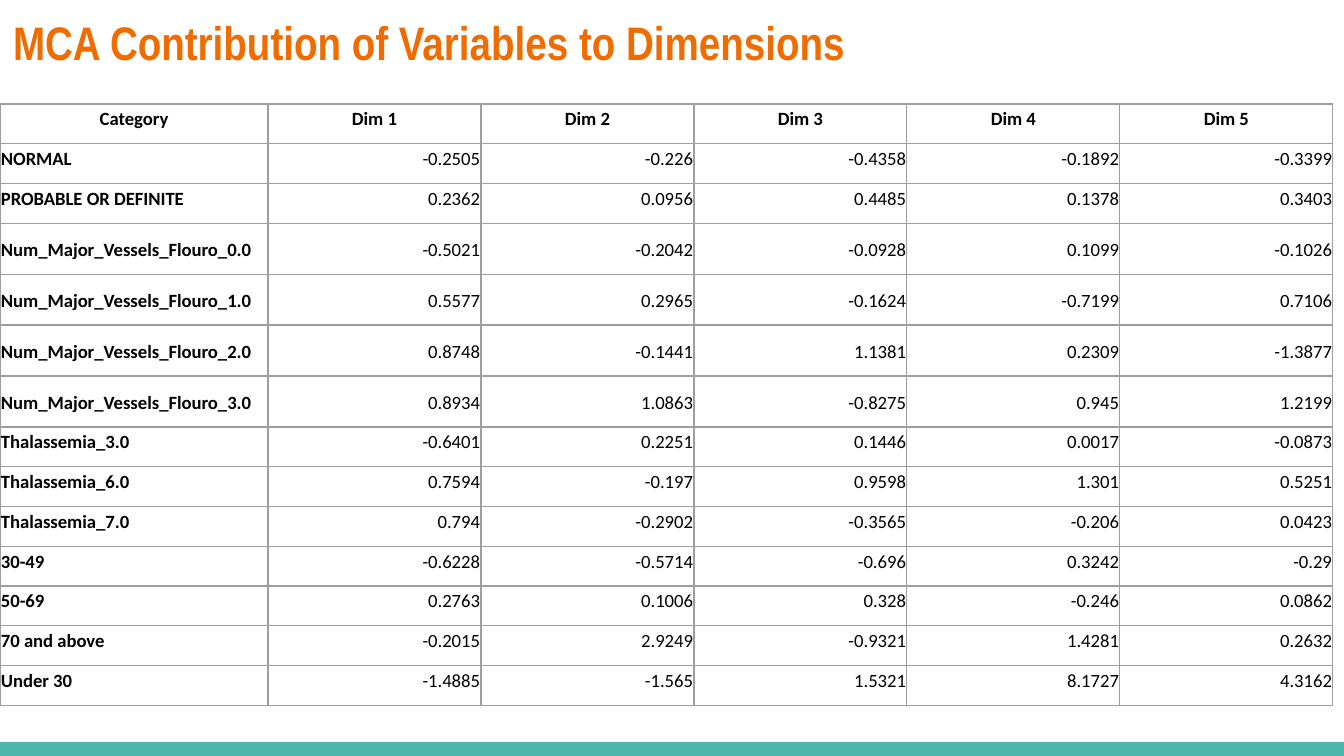
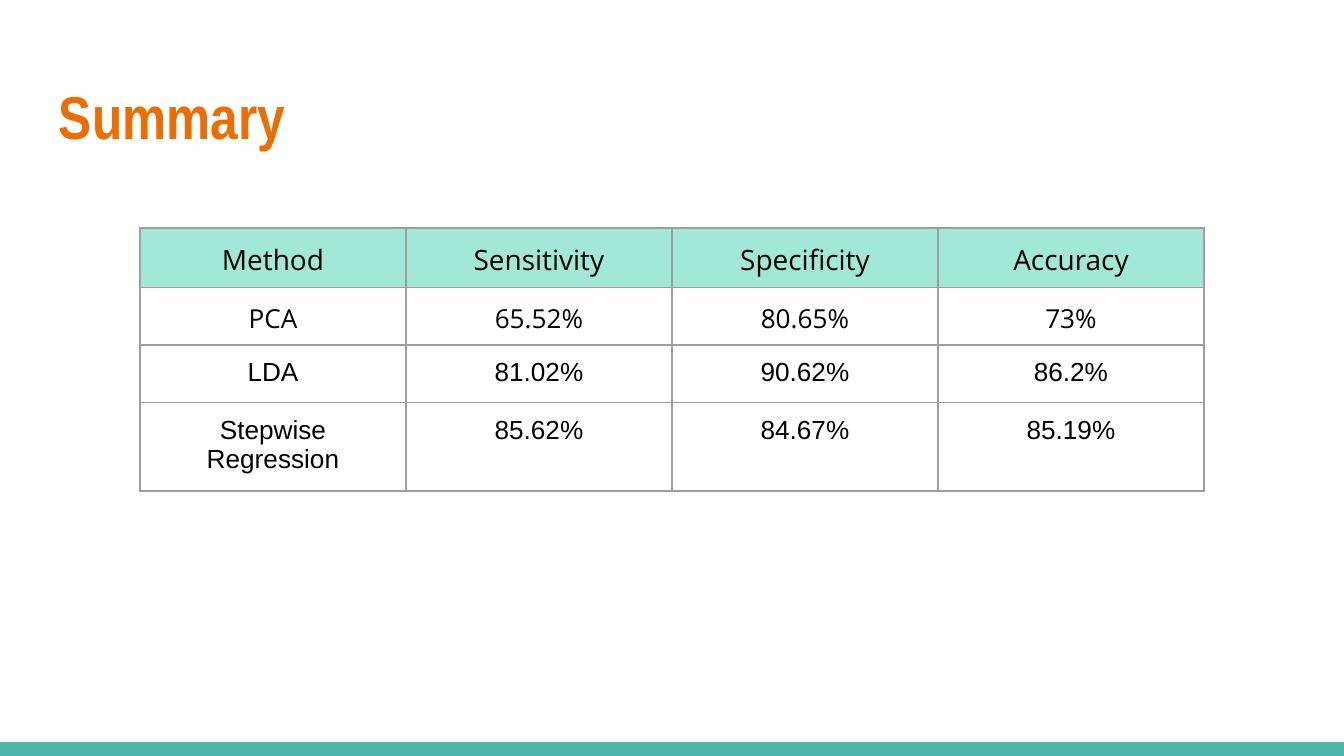
from lxml import etree
from pptx import Presentation
from pptx.dml.color import RGBColor
from pptx.enum.shapes import MSO_SHAPE
from pptx.enum.text import MSO_ANCHOR, PP_ALIGN
from pptx.oxml.ns import qn
from pptx.util import Emu, Pt

LEFT, CENTER, RIGHT = PP_ALIGN.LEFT, PP_ALIGN.CENTER, PP_ALIGN.RIGHT
TOP, BOTTOM = MSO_ANCHOR.TOP, MSO_ANCHOR.BOTTOM
RECTANGLE = MSO_SHAPE.RECTANGLE

ORANGE = RGBColor(0xEF, 0x6C, 0x00)
TEAL = RGBColor(0x4D, 0xB6, 0xAC)
MINT = RGBColor(0xA1, 0xE8, 0xD9)
GRAY = RGBColor(0x9E, 0x9E, 0x9E)
BLACK = RGBColor(0x00, 0x00, 0x00)

PX_PER_INCH = 134.4
SLIDE_W, SLIDE_H, BAND_H = 1344, 756, 14
TITLE_W, TITLE_H, TITLE_INSET = 1252, 103, 13
BORDER_PT = 0.75

CONTRIBUTIONS = [
    ("Category", "Dim 1", "Dim 2", "Dim 3", "Dim 4", "Dim 5"),
    ("NORMAL", "-0.2505", "-0.226", "-0.4358", "-0.1892", "-0.3399"),
    ("PROBABLE OR DEFINITE", "0.2362", "0.0956", "0.4485", "0.1378", "0.3403"),
    ("Num_Major_Vessels_Flouro_0.0", "-0.5021", "-0.2042", "-0.0928", "0.1099", "-0.1026"),
    ("Num_Major_Vessels_Flouro_1.0", "0.5577", "0.2965", "-0.1624", "-0.7199", "0.7106"),
    ("Num_Major_Vessels_Flouro_2.0", "0.8748", "-0.1441", "1.1381", "0.2309", "-1.3877"),
    ("Num_Major_Vessels_Flouro_3.0", "0.8934", "1.0863", "-0.8275", "0.945", "1.2199"),
    ("Thalassemia_3.0", "-0.6401", "0.2251", "0.1446", "0.0017", "-0.0873"),
    ("Thalassemia_6.0", "0.7594", "-0.197", "0.9598", "1.301", "0.5251"),
    ("Thalassemia_7.0", "0.794", "-0.2902", "-0.3565", "-0.206", "0.0423"),
    ("30-49", "-0.6228", "-0.5714", "-0.696", "0.3242", "-0.29"),
    ("50-69", "0.2763", "0.1006", "0.328", "-0.246", "0.0862"),
    ("70 and above", "-0.2015", "2.9249", "-0.9321", "1.4281", "0.2632"),
    ("Under 30", "-1.4885", "-1.565", "1.5321", "8.1727", "4.3162"),
]
CONTRIBUTION_COLUMNS = [268] + [213] * 5
CONTRIBUTION_ROWS = [38] * 3 + [51] * 4 + [38] * 6 + [31]

SUMMARY = [
    ("Method", "Sensitivity", "Specificity", "Accuracy"),
    ("PCA", "65.52%", "80.65%", "73%"),
    ("LDA", "81.02%", "90.62%", "86.2%"),
    ("Stepwise Regression", "85.62%", "84.67%", "85.19%"),
]


def px(length):
    return Emu(round(length * 914400 / PX_PER_INCH))


def write(frame, text, *, font, size, color=BLACK, bold=False, align=LEFT, spacing=1.0):
    para = frame.paragraphs[0]
    para.alignment = align
    para.line_spacing = spacing
    span = para.add_run()
    span.text = text
    span.font.name = font
    span.font.size = Pt(size)
    span.font.bold = bold
    span.font.color.rgb = color


def set_insets(holder, sides, bottom):
    holder.margin_left = holder.margin_right = holder.margin_top = px(sides)
    holder.margin_bottom = px(bottom)


def add_borders(cell):
    properties = cell._tc.get_or_add_tcPr()
    for side in ("lnL", "lnR", "lnT", "lnB"):
        line = etree.SubElement(properties, qn(f"a:{side}"), w=str(Pt(BORDER_PT)))
        fill = etree.SubElement(line, qn("a:solidFill"))
        etree.SubElement(fill, qn("a:srgbClr"), val=str(GRAY))


def add_slide(deck, title, left, top, size):
    """Add a slide with the shared bottom band and title style."""
    slide = deck.slides.add_slide(deck.slide_layouts[6])
    band = slide.shapes.add_shape(
        RECTANGLE, 0, px(SLIDE_H - BAND_H), px(SLIDE_W), px(BAND_H))
    band.shadow.inherit = False
    band.fill.solid()
    band.fill.fore_color.rgb = TEAL
    band.line.fill.background()

    box = slide.shapes.add_textbox(px(left), px(top), px(TITLE_W), px(TITLE_H))
    frame = box.text_frame
    frame.word_wrap = True
    frame.vertical_anchor = TOP
    set_insets(frame, TITLE_INSET, TITLE_INSET)
    write(frame, title, font="Arial Narrow", size=size, color=ORANGE, bold=True)
    return slide


def add_grid(slide, rows, left, top, height, widths, heights, insets, anchor,
             text_format, header_fill=None):
    """Add a bordered table; text_format gives the write() options of a cell."""
    holder = slide.shapes.add_table(
        len(rows), len(widths), px(left), px(top), px(sum(widths)), px(height))
    table = holder.table
    table.first_row = table.horz_banding = False
    for column, width in zip(table.columns, widths):
        column.width = px(width)
    for row, row_height in zip(table.rows, heights):
        row.height = px(row_height)
    holder.height = px(height)

    for r, texts in enumerate(rows):
        for c, text in enumerate(texts):
            cell = table.cell(r, c)
            add_borders(cell)
            if r == 0 and header_fill is not None:
                cell.fill.solid()
                cell.fill.fore_color.rgb = header_fill
            else:
                cell.fill.background()
            cell.vertical_anchor = anchor
            set_insets(cell, *insets)
            write(cell.text_frame, text, **text_format(r, c))


def contribution_format(r, c):
    align = CENTER if r == 0 else LEFT if c == 0 else RIGHT
    return dict(font="Calibri", size=10, bold=r == 0 or c == 0, align=align,
                spacing=1.0 if c == 0 else 1.15)


def summary_format(r, c):
    return dict(font="Open Sans" if r < 2 else "Arial",
                size=15 if r == 0 else 14, align=CENTER)


def main():
    deck = Presentation()
    deck.slide_width, deck.slide_height = px(SLIDE_W), px(SLIDE_H)

    slide = add_slide(deck, "MCA Contribution of Variables to Dimensions", 0, 0, 25.2)
    add_grid(slide, CONTRIBUTIONS, 0, 104, 593, CONTRIBUTION_COLUMNS,
             CONTRIBUTION_ROWS, (1, 13), BOTTOM, contribution_format)

    slide = add_slide(deck, "Summary", 46, 66, 32.4)
    add_grid(slide, SUMMARY, 140, 228, 266, [266] * 4, [56] * 4, (13, 13), TOP,
             summary_format, header_fill=MINT)

    deck.save("out.pptx")


if __name__ == "__main__":
    main()
